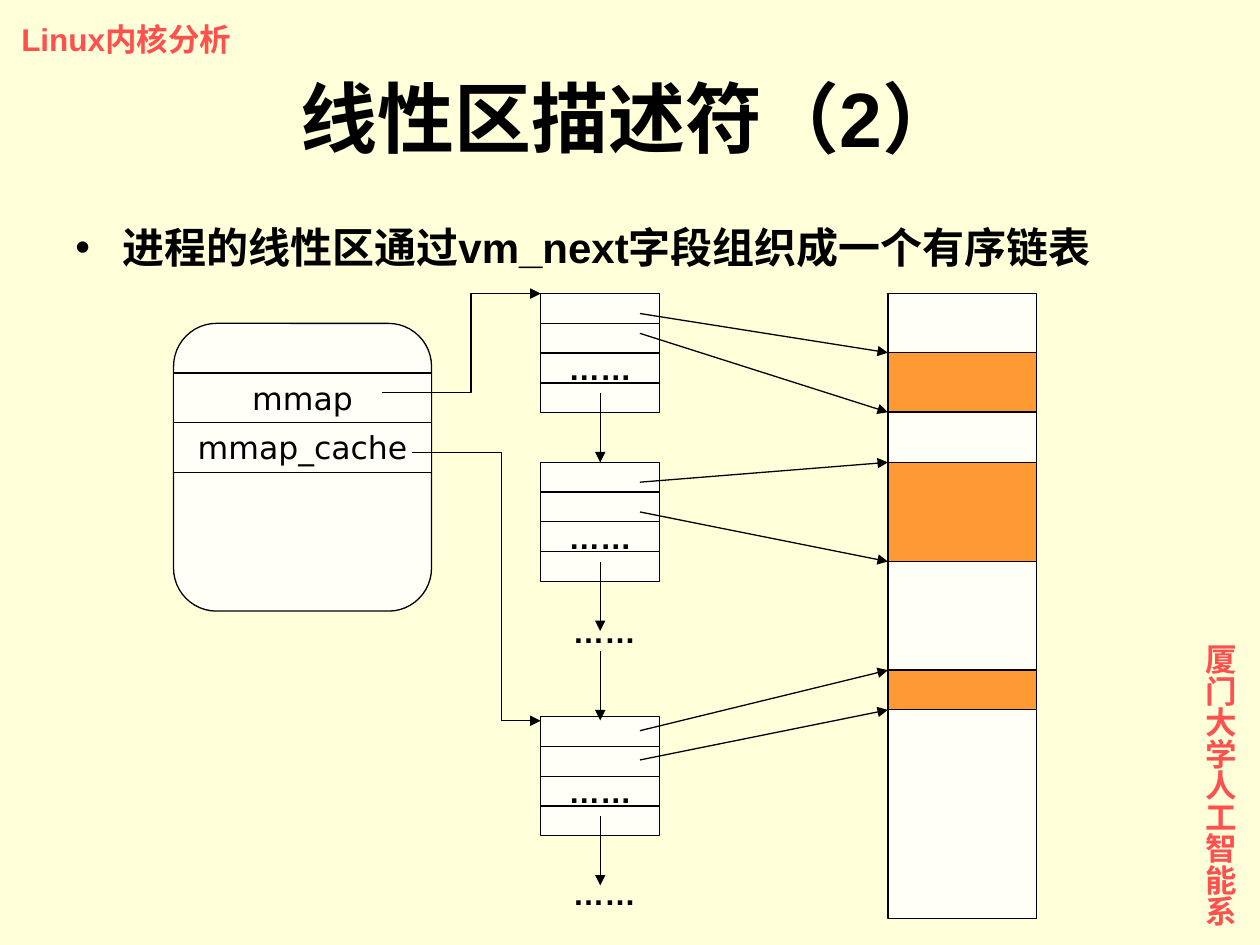
"""Draw the linked list of linear region descriptors and the memory it maps."""
from lxml.etree import SubElement
from pptx import Presentation
from pptx.dml.color import RGBColor
from pptx.enum.shapes import MSO_CONNECTOR, MSO_SHAPE
from pptx.enum.text import MSO_ANCHOR, MSO_AUTO_SIZE, PP_ALIGN
from pptx.oxml.ns import qn
from pptx.util import Cm, Pt

COLORS = {"bg": "FFFFD9", "ink": "000000", "accent": "FF5050",
          "box": "FFFFF7", "region": "FF9933"}
BOLD = {"name": "Arial", "size": Pt(18), "bold": True}
PLAIN = {"name": "DejaVu Sans", "size": Pt(18), "bold": False}
FIT = {"word_wrap": False, "auto_size": MSO_AUTO_SIZE.SHAPE_TO_FIT_TEXT}
LABEL = {"word_wrap": False, "vertical_anchor": MSO_ANCHOR.MIDDLE}
VERTICAL = {**FIT, "margin_left": Cm(0.13), "margin_right": Cm(0.13),
            "margin_top": Cm(0.25), "margin_bottom": Cm(0.25)}

COURSE = "Linux内核分析"
DEPARTMENT = "厦门大学人工智能系"
TITLE = "线性区描述符（2）"
BULLET = "进程的线性区通过vm_next字段组织成一个有序链表"
DOTS = "……"

FIELDS = ["mmap", "mmap_cache"]
FIELD_X, FIELD_Y, FIELD_W, FIELD_H = 3.5, 7.52, 5.2, 1.0
NODE_X, NODE_W, ROW_H = 10.9, 2.4, 0.6
ROWS = ["", "", DOTS, ""]
NODE_TOPS = [5.92, 9.32, 14.45]
MEM_X, MEM_Y, MEM_W, MEM_H = 17.9, 5.92, 3.0, 12.6
REGIONS = [(7.11, 1.2), (9.32, 2.0), (13.51, 0.8)]
POINTER_ROWS = [(6.32, 6.72), (9.72, 10.32), (14.73, 15.32)]
NEXT_STARTS = [7.92, 11.32, 13.12, 16.45]
NEXT_LENGTH = 1.4
DOT_TOPS = [12.22, 17.5]
ELBOWS = [((7.7, 7.92), 9.5, (NODE_X, 5.92)),
          ((8.3, 9.12), 10.11, (NODE_X, 14.53))]

prs = Presentation()
prs.slide_width, prs.slide_height = Cm(25.4), Cm(19.05)
s = prs.slides.add_slide(prs.slide_layouts[6])


def rgb(name):
    return RGBColor.from_string(COLORS[name])


def apply(obj, values):
    for key, value in values.items():
        setattr(obj, key, value)


def write(sp, text, font, frame, color="ink", align=PP_ALIGN.LEFT):
    tf = sp.text_frame
    apply(tf, frame)
    p = tf.paragraphs[0]
    p.alignment = align
    r = p.add_run()
    r.text = text
    apply(r.font, font)
    r.font.color.rgb = rgb(color)
    return p


def textbox(x, y, w, h):
    return s.shapes.add_textbox(Cm(x), Cm(y), Cm(w), Cm(h))


def box(x, y, w, h, text="", font=BOLD, fill="box", kind=MSO_SHAPE.RECTANGLE):
    sp = s.shapes.add_shape(kind, Cm(x), Cm(y), Cm(w), Cm(h))
    sp.shadow.inherit = False
    sp.fill.solid()
    sp.fill.fore_color.rgb = rgb(fill)
    sp.line.color.rgb = rgb("ink")
    sp.line.width = Pt(0.75)
    if text:
        write(sp, text, font, LABEL, align=PP_ALIGN.CENTER)


def arrow(start, end, bend=None):
    kind = MSO_CONNECTOR.STRAIGHT if bend is None else MSO_CONNECTOR.ELBOW
    ln = s.shapes.add_connector(kind, *(Cm(v) for v in (*start, *end)))
    ln.line.color.rgb = rgb("ink")
    ln.line.width = Pt(0.75)
    SubElement(ln.line._get_or_add_ln(), qn("a:tailEnd"), type="triangle")
    pr = ln._element.spPr
    SubElement(pr, qn("a:effectLst"))
    if bend is not None:
        ratio = round((bend - start[0]) / (end[0] - start[0]) * 100000)
        SubElement(pr.find(".//" + qn("a:avLst")), qn("a:gd"),
                   name="adj1", fmla=f"val {ratio}")


s.background.fill.solid()
s.background.fill.fore_color.rgb = rgb("bg")

write(textbox(0.18, 0.28, 4.88, 1.02), COURSE, BOLD, FIT, "accent")
side = textbox(23.83, 12.73, 1.27, 5.97)
write(side, DEPARTMENT, BOLD, VERTICAL, "accent")
side.text_frame._txBody.bodyPr.set("vert", "eaVert")
write(textbox(1.27, 0.76, 22.86, 3.18), TITLE, {**BOLD, "size": Pt(44)},
      {**LABEL, "word_wrap": True}, align=PP_ALIGN.CENTER)
p = write(textbox(1.27, 4.45, 22.86, 1.3), BULLET, {**BOLD, "size": Pt(24)},
          {"word_wrap": True})
p.line_spacing = 0.9
pPr = p._p.get_or_add_pPr()
pPr.set("marL", str(Cm(0.95)))
pPr.set("indent", str(-Cm(0.95)))
SubElement(pPr, qn("a:buFont"), typeface="Arial")
SubElement(pPr, qn("a:buChar"), char="•")

box(FIELD_X, FIELD_Y - FIELD_H, FIELD_W, 5.8,
    kind=MSO_SHAPE.FLOWCHART_ALTERNATE_PROCESS)
for i, field in enumerate(FIELDS):
    box(FIELD_X, FIELD_Y + i * FIELD_H, FIELD_W, FIELD_H, field, PLAIN)

for top in NODE_TOPS:
    for i, row in enumerate(ROWS):
        box(NODE_X, top + i * ROW_H, NODE_W, ROW_H, row)
for top in DOT_TOPS:
    write(textbox(11.3, top, 1.78, 1.02), DOTS, BOLD, FIT)

mid = NODE_X + NODE_W / 2
for y in NEXT_STARTS:
    arrow((mid, y), (mid, y + NEXT_LENGTH))
for start, bend, end in ELBOWS:
    arrow(start, end, bend)

box(MEM_X, MEM_Y, MEM_W, MEM_H)
for (top, height), sources in zip(REGIONS, POINTER_ROWS):
    box(MEM_X, top, MEM_W, height, fill="region")
    for y, target in zip(sources, (top, top + height)):
        arrow((mid + 0.8, y), (MEM_X, target))

prs.save("out.pptx")
